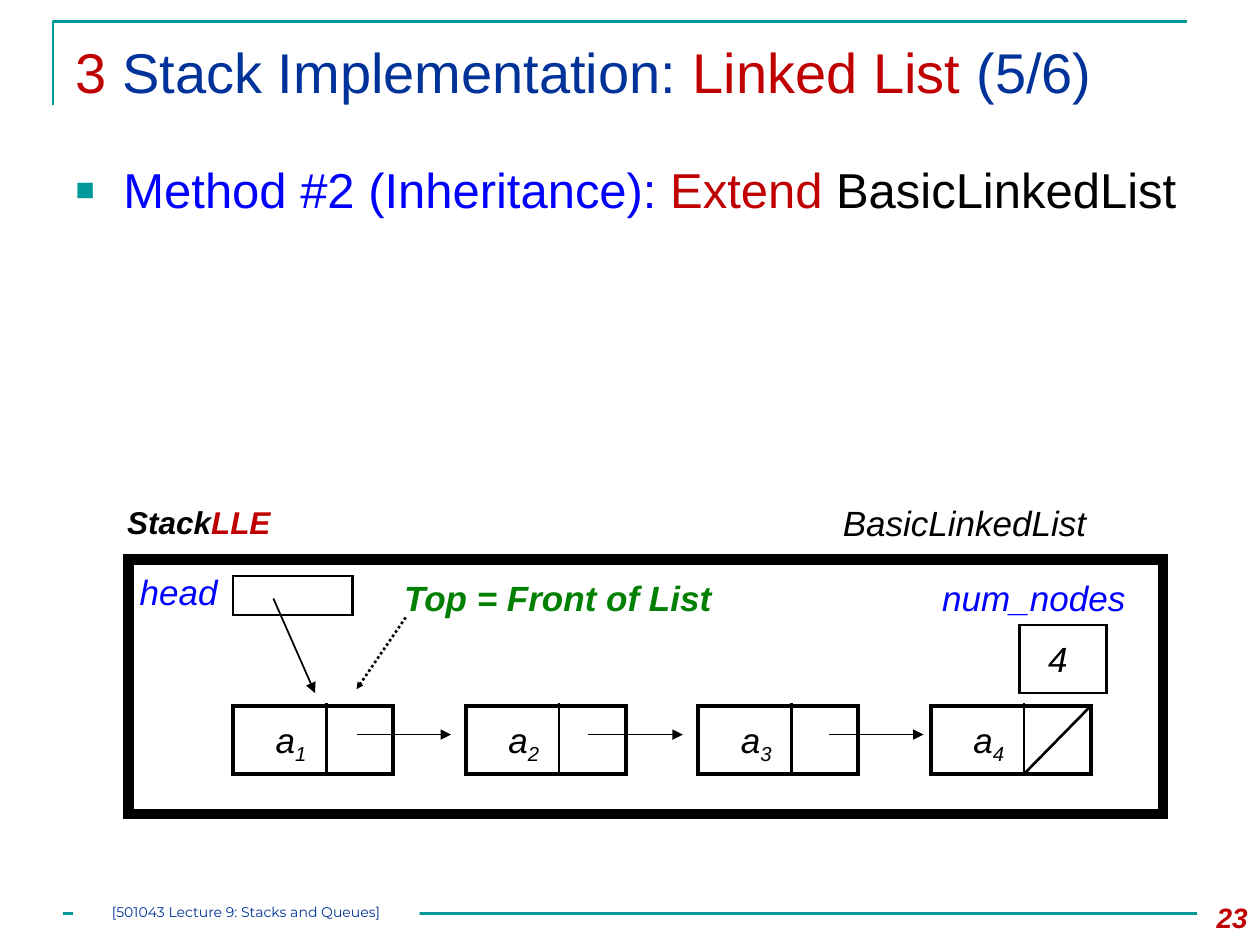
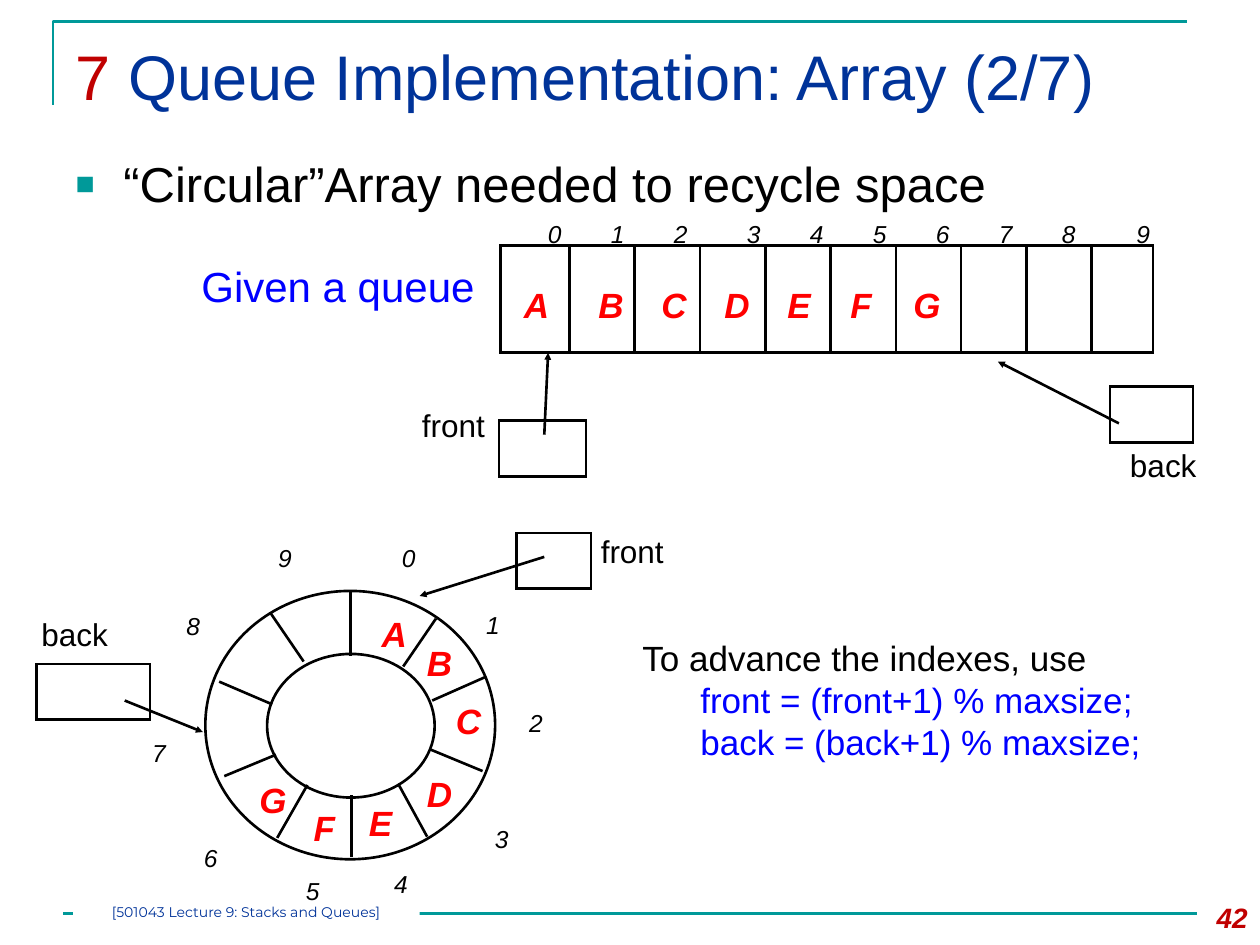
from lxml.etree import SubElement
from pptx import Presentation
from pptx.dml.color import RGBColor
from pptx.enum.dml import MSO_LINE
from pptx.enum.shapes import MSO_CONNECTOR, MSO_SHAPE
from pptx.enum.text import MSO_ANCHOR, MSO_AUTO_SIZE, PP_ALIGN
from pptx.oxml.ns import qn
from pptx.util import Inches, Pt

COLORS = {
    "teal": "009999", "navy": "003399", "crimson": "C00000", "blue": "0000FF",
    "green": "008000", "red": "FF0000", "black": "000000", "white": "FFFFFF",
}
RECT, OVAL = MSO_SHAPE.RECTANGLE, MSO_SHAPE.OVAL

deck = Presentation()
deck.slide_width, deck.slide_height = Inches(10), Inches(7.5)
COL, ROW = deck.slide_width / 100, deck.slide_height / 75


def area(left, top, width, height):
    return [round(n * unit) for n, unit in zip((left, top, width, height), (COL, ROW) * 2)]


def write(paragraph, runs, size, bold=False, italic=False, font="Arial"):
    for text, color, *subscript in runs:
        run = paragraph.add_run()
        run.text = text
        run.font.name, run.font.size = font, Pt(size)
        run.font.bold, run.font.italic = bold, italic
        run.font.color.rgb = RGBColor.from_string(COLORS[color])
        if subscript:
            run._r.get_or_add_rPr().set("baseline", "-25000")


list_boxes = [
    (RECT, 18.5, 45.7, 9.5, 3.1, 1.5),
    (RECT, 10.2, 44.4, 82.1, 20.2, 6),
    (RECT, 80.9, 49.6, 6.9, 5.4, 1.5),
]
list_strokes = [
    (32.2, 49, 28.3, 54.7, 1.5, "sm", MSO_LINE.ROUND_DOT),
    (21.7, 47.5, 25, 55, 1, "med", None),
    (86.5, 56.1, 81.3, 61.4, 1.5, None, None),
]
list_labels = [
    ([("Stack", "black"), ("LLE", "crimson")], 9.1, 39.4, 13.5, 18, True, True),
    ([("head", "blue")], 10.1, 44.8, 8.2, 20, False, True),
    ([("BasicLinkedList", "black")], 65.9, 39.3, 21.5, 20, False, True),
    ([("Top = Front of List", "green")], 31.1, 45.3, 26.6, 20, True, True),
    ([("num_nodes", "blue")], 73.8, 45.3, 18, 20, False, True),
    ([("4", "black")], 82.2, 50.1, 3.9, 20, False, True),
]
for node in range(4):
    left = 18.5 + 18.46 * node
    list_boxes.append((RECT, left, 56, 12.7, 5.4, 2.25))
    list_strokes.append((left + 7.4, 55.8, left + 7.4, 61.3, 1.5, None, None))
    list_labels.append(([("a", "black"), (str(node + 1), "black", True)],
                        left + 2.4, 56.5, 4.6, 20, False, True))
for start in (28.3, 46.7, 65.8):
    list_strokes.append((start, 58.3, start + 7.5, 58.3, 1, "med", None))

queue_boxes = [
    (OVAL, 16.3, 46.9, 23, 21.3, 1.5),
    (OVAL, 21.2, 51.9, 13.3, 11.4, 1.5),
    (RECT, 41, 42.3, 5.9, 4.4, 1.5),
    (RECT, 2.9, 52.7, 9, 4.4, 1.5),
    (RECT, 39.6, 33.4, 6.9, 4.4, 1.5),
    (RECT, 88.1, 30.7, 6.6, 4.4, 1.5),
    (RECT, 39.7, 19.5, 51.8, 8.5, 1.5),
]
queue_strokes = [
    (*pointer, 1.5, "sm", None) for pointer in (
        (43.2, 44.2, 33.3, 47.3), (9.9, 55.6, 16.1, 58.1),
        (43.2, 34.5, 43.5, 28), (88.8, 33.6, 79.2, 28.7))
]
queue_strokes += [
    (*spoke, 1.5, None, None) for spoke in (
        (27.8, 46.9, 27.8, 52.1), (34.6, 49.1, 32, 52.9),
        (38.6, 53.7, 34.3, 55.6), (38.3, 61.2, 34.2, 59.5),
        (33.9, 66.4, 31.6, 62.2), (27.9, 68, 27.9, 63.1),
        (22, 66.5, 24.4, 62.3), (17.8, 61.6, 21.9, 59.9),
        (17.4, 54.1, 21.6, 55.9), (21.5, 48.7, 24.1, 52.5))
]
for divider in range(9):
    x = 45.2 + 5.18 * divider
    queue_strokes.append((x, 19.5, x, 28, 1.5, None, None))

queue_labels = [
    ([(word, "black")], left, top, 8, 18, False, False) for word, left, top in (
        ("front", 46.7, 41.7), ("back", 88.7, 34.9),
        ("back", 2.3, 48.3), ("front", 32.5, 31.7))
]
array_lefts = (42.5, 47.5, 52.5, 58.3, 63.3, 68.3, 73.3, 78.3, 83.3, 89.2)
ring_indexes = ((30.9, 42.6), (37.6, 47.9), (41, 55.7), (38.3, 64.9), (30.3, 68.5),
                (23.3, 69), (15.2, 66.4), (11.1, 58.1), (13.8, 48), (21.1, 42.6))
for index, (array_left, ring_spot) in enumerate(zip(array_lefts, ring_indexes)):
    for left, top in ((array_left, 16.9), ring_spot):
        queue_labels.append(([(str(index), "black")], left, top, 3.1, 14, False, True))
item_lefts = (40.6, 46.5, 51.5, 56.5, 61.5, 66.5, 71.5)
ring_items = ((29.3, 48.1), (32.9, 50.4), (35.2, 55), (32.9, 60.8),
              (28.3, 63.1), (23.9, 63.5), (19.6, 61.3))
for letter, item_left, ring_spot in zip("ABCDEFG", item_lefts, ring_items):
    for left, top in ((item_left, 22), ring_spot):
        queue_labels.append(([(letter, "red")], left, top, 4.2, 20, True, True))

lessons = [
    {"number": 23, "title_size": 32, "body_width": 93.3, "body_height": 11.7,
     "spacing": 1.1, "before": 6,
     "title": [("3 ", "crimson"), ("Stack Implementation: ", "navy"),
               ("Linked List ", "crimson"), ("(5/6)", "navy")],
     "body": [("Method #2 (Inheritance): ", "blue"), ("Extend", "crimson"),
              (" BasicLinkedList", "black")],
     "boxes": list_boxes, "strokes": list_strokes, "labels": list_labels},
    {"number": 42, "title_size": 36, "body_width": 90, "body_height": 7.5,
     "spacing": 1.0, "before": 3.6,
     "title": [("7 ", "crimson"), ("Queue Implementation: Array (2/7)", "navy")],
     "body": [("“Circular”Array needed to recycle space", "black")],
     "boxes": queue_boxes, "strokes": queue_strokes, "labels": queue_labels},
]

for lesson in lessons:
    slide = deck.slides.add_slide(deck.slide_layouts[1])
    shapes = slide.shapes

    corner = shapes.build_freeform(42, 83, scale=Inches(0.01))
    corner.add_line_segments([(42, 17), (942, 17)], close=False)
    bracket = corner.convert_to_shape()
    bracket.shadow.inherit = False
    bracket.fill.background()
    bracket.line.color.rgb = RGBColor.from_string(COLORS["teal"])
    bracket.line.width = Pt(1.5)

    title, body = shapes.title, slide.placeholders[1]
    title.left, title.top, title.width, title.height = area(5, 2.5, 90, 8.6)
    body.left, body.top, body.width, body.height = area(
        5, 11.7, lesson["body_width"], lesson["body_height"])
    for holder, part, size, before in ((title, "title", lesson["title_size"], 3.6),
                                       (body, "body", 28, lesson["before"])):
        frame = holder.text_frame
        frame.auto_size, frame.word_wrap = MSO_AUTO_SIZE.NONE, True
        frame.vertical_anchor = MSO_ANCHOR.TOP
        paragraph = frame.paragraphs[0]
        paragraph.alignment = PP_ALIGN.LEFT
        paragraph.space_before = Pt(before)
        write(paragraph, lesson[part], size)
    point = body.text_frame.paragraphs[0]
    point.line_spacing = lesson["spacing"]
    bullet = point._p.get_or_add_pPr()
    bullet.set("marL", str(Inches(0.38)))
    bullet.set("indent", str(-Inches(0.38)))
    SubElement(SubElement(bullet, qn("a:buClr")), qn("a:srgbClr"), val=COLORS["teal"])
    SubElement(bullet, qn("a:buSzPct"), val="65000")
    SubElement(bullet, qn("a:buFont"), typeface="Arial")
    SubElement(bullet, qn("a:buChar"), char="■")

    for kind, left, top, width, height, weight in lesson["boxes"]:
        box = shapes.add_shape(kind, *area(left, top, width, height))
        box.shadow.inherit = False
        box.fill.background()
        box.line.color.rgb = RGBColor.from_string(COLORS["black"])
        box.line.width = Pt(weight)
        SubElement(box.line._get_or_add_ln(), qn("a:miter"), lim="800000")

    rule = (5, 72.5, 95, 72.5, 1.5, None, None)
    for stroke in [rule, *lesson["strokes"]]:
        *ends, weight, head, dash = stroke
        connector = shapes.add_connector(MSO_CONNECTOR.STRAIGHT, *area(*ends))
        color = "teal" if stroke is rule else "black"
        connector.line.color.rgb = RGBColor.from_string(COLORS[color])
        connector.line.width = Pt(weight)
        if dash:
            connector.line.dash_style = dash
        if head:
            SubElement(connector.line._get_or_add_ln(), qn("a:tailEnd"),
                       type="triangle", w=head, len=head)
        SubElement(connector._element.spPr, qn("a:effectLst"))

    for runs, left, top, width, size, bold, italic in lesson["labels"]:
        label = shapes.add_textbox(*area(left, top, width, size / 6 + 1))
        label.text_frame.word_wrap = True
        write(label.text_frame.paragraphs[0], runs, size, bold, italic)

    if lesson["boxes"] is queue_boxes:
        caption = shapes.add_textbox(*area(15, 20.2, 24.2, 5.8)).text_frame
        caption.word_wrap = True
        caption.paragraphs[0].space_before = Pt(3.6)
        write(caption.paragraphs[0], [("Given a queue", "blue")], 24)
        advice = shapes.add_textbox(*area(50, 50, 47.5, 11.1)).text_frame
        advice.word_wrap = True
        write(advice.paragraphs[0], [("To advance the indexes, use", "black")], 20)
        for pointer in ("front", "back"):
            formula = advice.add_paragraph()
            formula._p.get_or_add_pPr().set("marL", str(Inches(0.46)))
            write(formula, [(f"{pointer} = ({pointer}+1) % maxsize;", "blue")], 20)

    page = shapes.add_textbox(*area(93.3, 71, 6.7, 4)).text_frame
    page.word_wrap = True
    page.paragraphs[0].alignment = PP_ALIGN.RIGHT
    write(page.paragraphs[0], [(str(lesson["number"]), "crimson")], 16, True, True)

    footer = shapes.add_shape(RECT, *area(5.8, 71.7, 27.5, 1.7))
    footer.shadow.inherit = False
    footer.fill.solid()
    footer.fill.fore_color.rgb = RGBColor.from_string(COLORS["white"])
    footer.line.fill.background()
    credit = footer.text_frame
    credit.margin_left = credit.margin_right = credit.margin_top = credit.margin_bottom = 0
    credit.vertical_anchor = MSO_ANCHOR.TOP
    credit.paragraphs[0].alignment = PP_ALIGN.CENTER
    write(credit.paragraphs[0], [("[501043 Lecture 9: Stacks and Queues]", "navy")],
          8, font="Montserrat")

deck.save("out.pptx")
